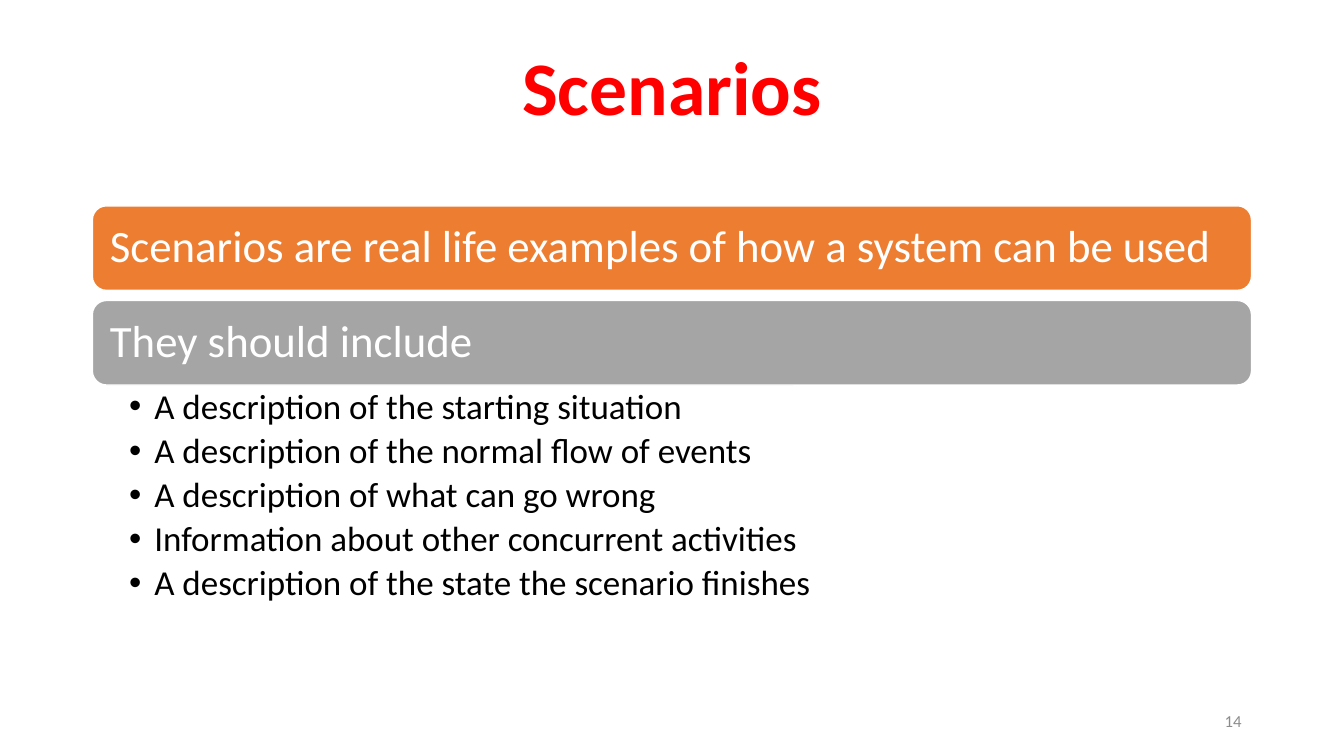
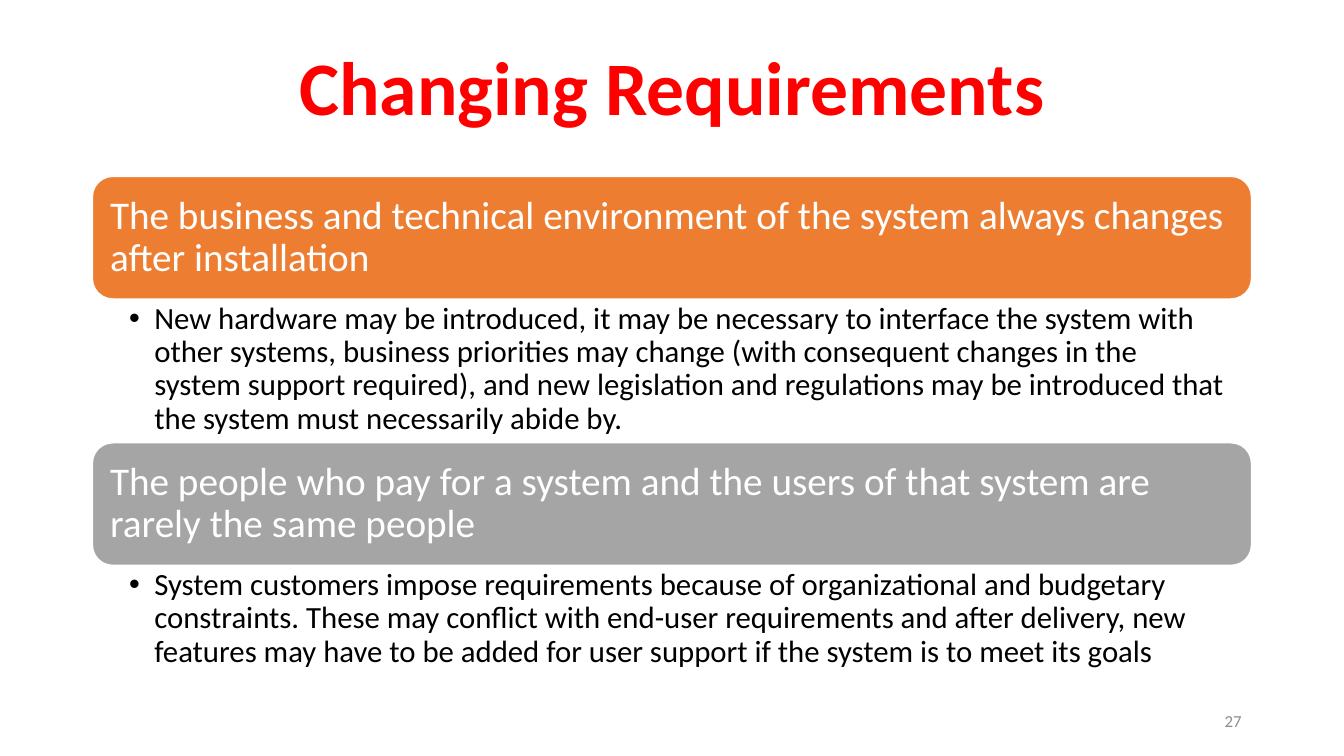
from dataclasses import dataclass

from lxml import etree
from pptx import Presentation
from pptx.dml.color import RGBColor
from pptx.enum import shapes, text
from pptx.oxml import ns
from pptx.util import Pt

COLORS = {
    "title": "FF0000",
    "bands": ["ED7D31", "A5A5A5"],
    "band_text": "FFFFFF",
    "detail": "000000",
    "number": "8C8C8C",
}
FONT = "Calibri"
LEFT, WIDTH = 66, 828
INDENT = 18


@dataclass
class Section:
    heading: str
    details: list[str]
    height: float  # space from the foot of the band to the next band


@dataclass
class Page:
    title: str
    number: str
    top: float
    band_height: float
    band_size: float
    detail_size: float
    sections: list[Section]


PAGES = [
    Page("Scenarios", "14", 147, 60.4, 32, 25, [
        Section("Scenarios are real life examples of how a system can be used", [], 7.2),
        Section("They should include", [
            "A description of the starting situation",
            "A description of the normal flow of events",
            "A description of what can go wrong",
            "Information about other concurrent activities",
            "A description of the state the scenario finishes",
        ], 172),
    ]),
    Page("Changing Requirements", "27", 126, 87.6, 28, 22, [
        Section(
            "The business and technical environment of the system always changes after installation",
            ["New hardware may be introduced, it may be necessary to interface the system with "
             "other systems, business priorities may change (with consequent changes in the "
             "system support required), and new legislation and regulations may be introduced "
             "that the system must necessarily abide by."], 102.7),
        Section(
            "The people who pay for a system and the users of that system are rarely the same people",
            ["System customers impose requirements because of organizational and budgetary "
             "constraints. These may conflict with end-user requirements and after delivery, "
             "new features may have to be added for user support if the system is to meet its "
             "goals"], 80),
    ]),
]


def color(value: str) -> RGBColor:
    return RGBColor.from_string(value)


def style(paragraph, size: float, hex_color: str, bold: bool = False,
          align=text.PP_ALIGN.LEFT, line_spacing: float = 0.9) -> None:
    paragraph.alignment = align
    paragraph.line_spacing = line_spacing
    font = paragraph.font
    font.name, font.size, font.bold = FONT, Pt(size), bold
    font.color.rgb = color(hex_color)


def set_margins(frame, left: float, top: float, right: float, bottom: float) -> None:
    frame.margin_left, frame.margin_top = Pt(left), Pt(top)
    frame.margin_right, frame.margin_bottom = Pt(right), Pt(bottom)


def add_text_frame(slide, left: float, top: float, width: float, height: float,
                   anchor=text.MSO_ANCHOR.MIDDLE):
    box = slide.shapes.add_textbox(Pt(left), Pt(top), Pt(width), Pt(height))
    box.text_frame.word_wrap = True
    box.text_frame.vertical_anchor = anchor
    return box.text_frame


def add_title(slide, title: str) -> None:
    frame = add_text_frame(slide, LEFT, 28.8, WIDTH, 72)
    frame.text = title
    style(frame.paragraphs[0], 54, COLORS["title"], True, text.PP_ALIGN.CENTER)


def add_number(slide, number: str) -> None:
    frame = add_text_frame(slide, 678, 500.5, 216, 28.8)
    frame.text = number
    style(frame.paragraphs[0], 12, COLORS["number"], align=text.PP_ALIGN.RIGHT,
          line_spacing=1.0)


def add_band(slide, heading: str, top: float, height: float, size: float, fill: str) -> None:
    band = slide.shapes.add_shape(shapes.MSO_SHAPE.ROUNDED_RECTANGLE,
                                  Pt(LEFT), Pt(top), Pt(WIDTH), Pt(height))
    band.shadow.inherit = False
    band.fill.solid()
    band.fill.fore_color.rgb = color(fill)
    band.line.color.rgb = color(COLORS["band_text"])
    band.line.width = Pt(1)
    frame = band.text_frame
    frame.word_wrap = True
    frame.vertical_anchor = text.MSO_ANCHOR.MIDDLE
    set_margins(frame, *[0.3 * size] * 4)
    frame.text = heading
    style(frame.paragraphs[0], size, COLORS["band_text"])


def add_bullet(paragraph) -> None:
    properties = paragraph._p.get_or_add_pPr()
    properties.set("marL", str(Pt(INDENT)))
    properties.set("indent", str(-Pt(INDENT)))
    etree.SubElement(properties, ns.qn("a:buFont"), typeface="Arial")
    etree.SubElement(properties, ns.qn("a:buChar"), char="•")


def add_details(slide, details: list[str], top: float, height: float, size: float) -> None:
    frame = add_text_frame(slide, LEFT, top, WIDTH, height, text.MSO_ANCHOR.TOP)
    set_margins(frame, 26.3, 0.12 * size, 0.72 * size, 0.12 * size)
    frame.text = "\n".join(details)
    for paragraph in frame.paragraphs:
        add_bullet(paragraph)
        style(paragraph, size, COLORS["detail"])
        paragraph.space_after = Pt(0.18 * size)


def add_page(presentation, page: Page) -> None:
    slide = presentation.slides.add_slide(presentation.slide_layouts[6])
    add_title(slide, page.title)
    top = page.top
    for section, fill in zip(page.sections, COLORS["bands"]):
        add_band(slide, section.heading, top, page.band_height, page.band_size, fill)
        top += page.band_height
        if section.details:
            add_details(slide, section.details, top, section.height, page.detail_size)
        top += section.height
    add_number(slide, page.number)


def main() -> None:
    presentation = Presentation()
    presentation.slide_width, presentation.slide_height = Pt(960), Pt(540)
    for page in PAGES:
        add_page(presentation, page)
    presentation.save("out.pptx")


if __name__ == "__main__":
    main()
